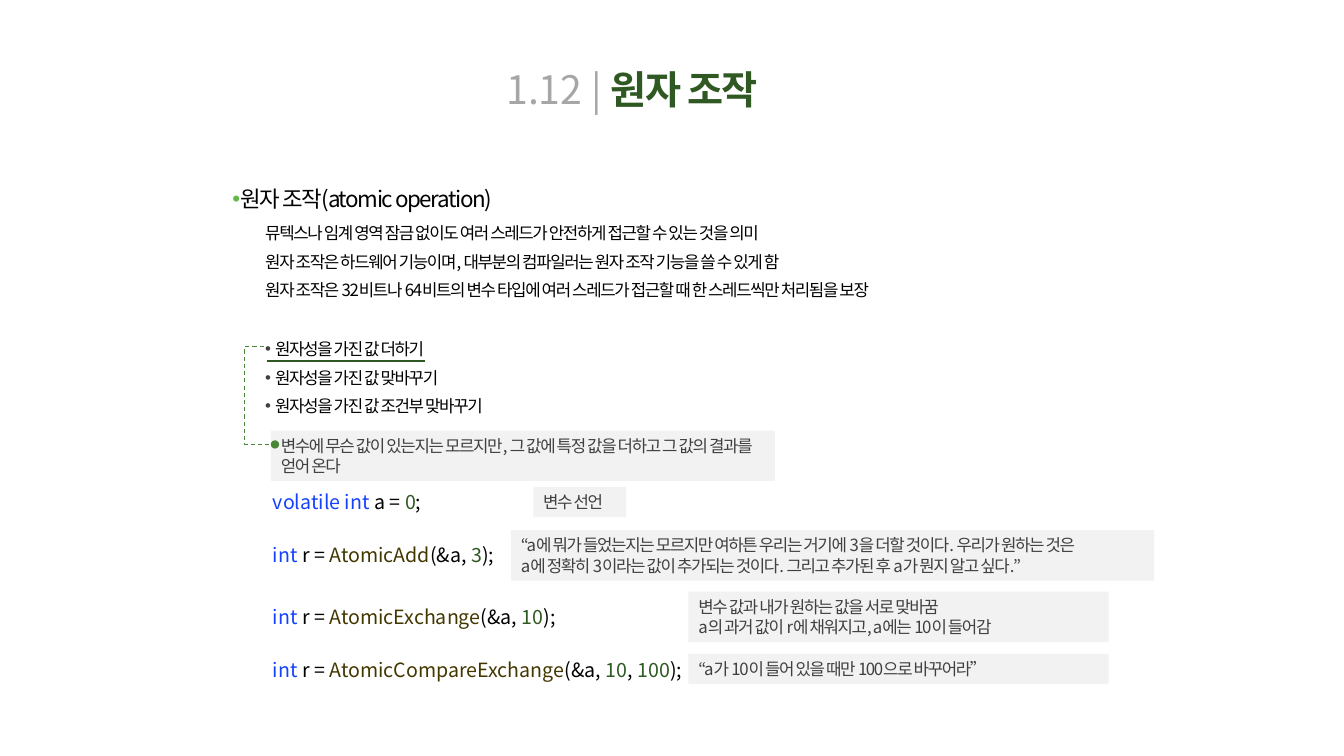
from lxml import etree
from pptx import Presentation
from pptx import util as u
from pptx.dml.color import RGBColor
from pptx.enum import dml, shapes, text
from pptx.oxml.ns import qn

FONT = "Noto Sans CJK KR"
BLACK, GREY, PALE = "000000", "404040", "F2F2F2"
DARK_GREEN, LINE_GREEN, BULLET_GREEN = "2F5822", "498735", "63B749"
KEYWORD, FUNCTION = "1441FF", "433700"


def colour(value):
    return RGBColor.from_string(value)


def place(item, box):
    item.left, item.top, item.width, item.height = (u.Cm(side) for side in box)


def style(span, size, shade, bold=False, tight=True):
    span.font.size = u.Pt(size)
    span.font.name = FONT
    span.font.bold = bold
    span.font.color.rgb = colour(shade)
    props = span._r.get_or_add_rPr()
    if tight:
        props.set("spc", "-100")
    etree.SubElement(props, qn("a:ea"), typeface=FONT)


def set_frame(frame, anchor=text.MSO_ANCHOR.TOP, wrap=True):
    frame.word_wrap = wrap
    frame.auto_size = text.MSO_AUTO_SIZE.SHAPE_TO_FIT_TEXT
    frame.vertical_anchor = anchor


def set_bullet(para, shade=None, margin=0.0, indent=0.0):
    props = para._p.get_or_add_pPr()
    props.set("marL", str(u.Cm(margin)))
    props.set("indent", str(u.Cm(indent)))
    if shade is None:
        etree.SubElement(props, qn("a:buNone"))
        return
    bullet_colour = etree.SubElement(props, qn("a:buClr"))
    etree.SubElement(bullet_colour, qn("a:srgbClr"), val=shade)
    etree.SubElement(props, qn("a:buFont"), typeface="Arial")
    etree.SubElement(props, qn("a:buChar"), char="•")


def fill_lines(frame, lines, size, shade, before=6):
    for index, line in enumerate(lines):
        para = frame.paragraphs[0] if index == 0 else frame.add_paragraph()
        para.text = line
        para.alignment = text.PP_ALIGN.LEFT
        para.space_before = u.Pt(before)
        for span in para.runs:
            style(span, size, shade)


# Title
def add_title(page, box, number, topic):
    title = page.shapes.title
    place(title, box)
    set_frame(title.text_frame, text.MSO_ANCHOR.MIDDLE)
    para = title.text_frame.paragraphs[0]
    para.alignment = text.PP_ALIGN.CENTER
    for words, shade, strong in ((number, "A6A6A6", False), (topic, DARK_GREEN, True)):
        span = para.add_run()
        span.text = words
        style(span, 28, shade, bold=strong, tight=strong)


# Heading above the definition
def add_heading(page, box, words):
    heading = page.shapes.add_textbox(*(u.Cm(side) for side in box))
    set_frame(heading.text_frame)
    fill_lines(heading.text_frame, [words], 16, BLACK)
    set_bullet(heading.text_frame.paragraphs[0], BULLET_GREEN, 0, -0.79)


# Body list, with or without bullets
def add_list(body, box, lines, **bullet):
    place(body, box)
    set_frame(body.text_frame)
    fill_lines(body.text_frame, lines, 12, BLACK)
    for para in body.text_frame.paragraphs:
        set_bullet(para, **bullet)


# Grey explanation box
def add_note(parent, box, words):
    note = parent.add_shape(shapes.MSO_SHAPE.RECTANGLE, *(u.Cm(side) for side in box))
    note.shadow.inherit = False
    note.fill.solid()
    note.fill.fore_color.rgb = colour(PALE)
    note.line.fill.background()
    set_frame(note.text_frame)
    fill_lines(note.text_frame, [words], 12, GREY)


# Underline of the first operation and dashed link to its explanation
def add_link(page, box):
    left, top, width, height = box
    underline = page.shapes.add_connector(
        shapes.MSO_CONNECTOR.STRAIGHT,
        u.Cm(left + 0.56), u.Cm(top + 0.35), u.Cm(left + 4.55), u.Cm(top + 0.35))
    underline.line.color.rgb = colour(DARK_GREEN)
    underline.line.width = u.Pt(1.5)
    etree.SubElement(underline._element.spPr, qn("a:effectLst"))

    builder = page.shapes.build_freeform(u.Cm(left + 0.48), u.Cm(top))
    corners = ((left, top), (left, top + height), (left + width, top + height))
    builder.add_line_segments([(u.Cm(x), u.Cm(y)) for x, y in corners], close=False)
    link = builder.convert_to_shape()
    link.shadow.inherit = False
    link.fill.background()
    link.line.color.rgb = colour(LINE_GREEN)
    link.line.width = u.Pt(0.75)
    link.line.dash_style = dml.MSO_LINE.DASH
    etree.SubElement(link.line._get_or_add_ln(), qn("a:tailEnd"), type="oval")


def atomic_call(function, *values):
    pieces = [("int", KEYWORD), (" r = ", BLACK), (function, FUNCTION), ("(&a, ", BLACK)]
    for index, value in enumerate(values):
        if index:
            pieces.append((", ", BLACK))
        pieces.append((value, DARK_GREEN))
    return pieces + [(");", BLACK)]


# Code line grouped with its explanation
def add_code_row(page, box, pieces, note_box, words):
    row = page.shapes.add_group_shape().shapes
    code = row.add_textbox(*(u.Cm(side) for side in box))
    set_frame(code.text_frame, wrap=False)
    para = code.text_frame.paragraphs[0]
    for piece, shade in pieces:
        span = para.add_run()
        span.text = piece
        style(span, 14, shade, tight=False)
    add_note(row, note_box, words)


def build_slide(deck):
    page = deck.slides.add_slide(deck.slide_layouts[3])
    definition, operations = page.placeholders[1], page.placeholders[2]

    add_title(page, (7.04, 1.52, 17.78, 1.45), "1.12 | ", "원자 조작")
    add_heading(page, (5.61, 4.55, 22.71, 0.94), "원자 조작(atomic operation)")
    add_list(definition, (6.43, 5.49, 21.51, 2.24), [
        "뮤텍스나 임계 영역 잠금 없이도 여러 스레드가 안전하게 접근할 수 있는 것을 의미",
        "원자 조작은 하드웨어 기능이며, 대부분의 컴파일러는 원자 조작 기능을 쓸 수 있게 함",
        "원자 조작은 32비트나 64비트의 변수 타입에 여러 스레드가 접근할 때 한 스레드씩만 처리됨을 보장",
    ])
    add_list(operations, (6.43, 8.41, 7.95, 2.24), [
        "원자성을 가진 값 더하기",
        "원자성을 가진 값 맞바꾸기",
        "원자성을 가진 값 조건부 맞바꾸기",
    ], shade=GREY, margin=0.25, indent=-0.25)
    add_note(page.shapes, (6.83, 10.85, 12.7, 1.27),
             "변수에 무슨 값이 있는지는 모르지만, 그 값에 특정 값을 더하고 그 값의 결과를 얻어 온다")
    add_link(page, (6.17, 8.74, 0.76, 2.46))

    declaration = [("volatile int ", KEYWORD), ("a = ", BLACK), ("0", DARK_GREEN), (";", BLACK)]
    code_rows = [
        (12.22, 4.39, declaration, (13.44, 12.27, 2.34, 0.76), "변수 선언"),
        (13.56, 6.25, atomic_call("AtomicAdd", "3"), (12.88, 13.36, 16.21, 1.27),
         "“a에 뭐가 들었는지는 모르지만 여하튼 우리는 거기에 3을 더할 것이다. 우리가 원하는 것은\n"
         "a에 정확히 3이라는 값이 추가되는 것이다. 그리고 추가된 후 a가 뭔지 알고 싶다.”"),
        (15.11, 7.77, atomic_call("AtomicExchange", "10"), (17.35, 14.91, 10.59, 1.27),
         "변수 값과 내가 원하는 값을 서로 맞바꿈\na의 과거 값이 r에 채워지고, a에는 10이 들어감"),
        (16.46, 10.87, atomic_call("AtomicCompareExchange", "10", "100"),
         (17.35, 16.48, 10.59, 0.76), "“a가 10이 들어 있을 때만 100으로 바꾸어라”"),
    ]
    for top, width, pieces, note_box, words in code_rows:
        add_code_row(page, (6.63, top, width, 0.86), pieces, note_box, words)


def main():
    deck = Presentation()
    deck.slide_width, deck.slide_height = u.Cm(33.87), u.Cm(19.05)
    build_slide(deck)
    deck.save("out.pptx")


if __name__ == "__main__":
    main()
